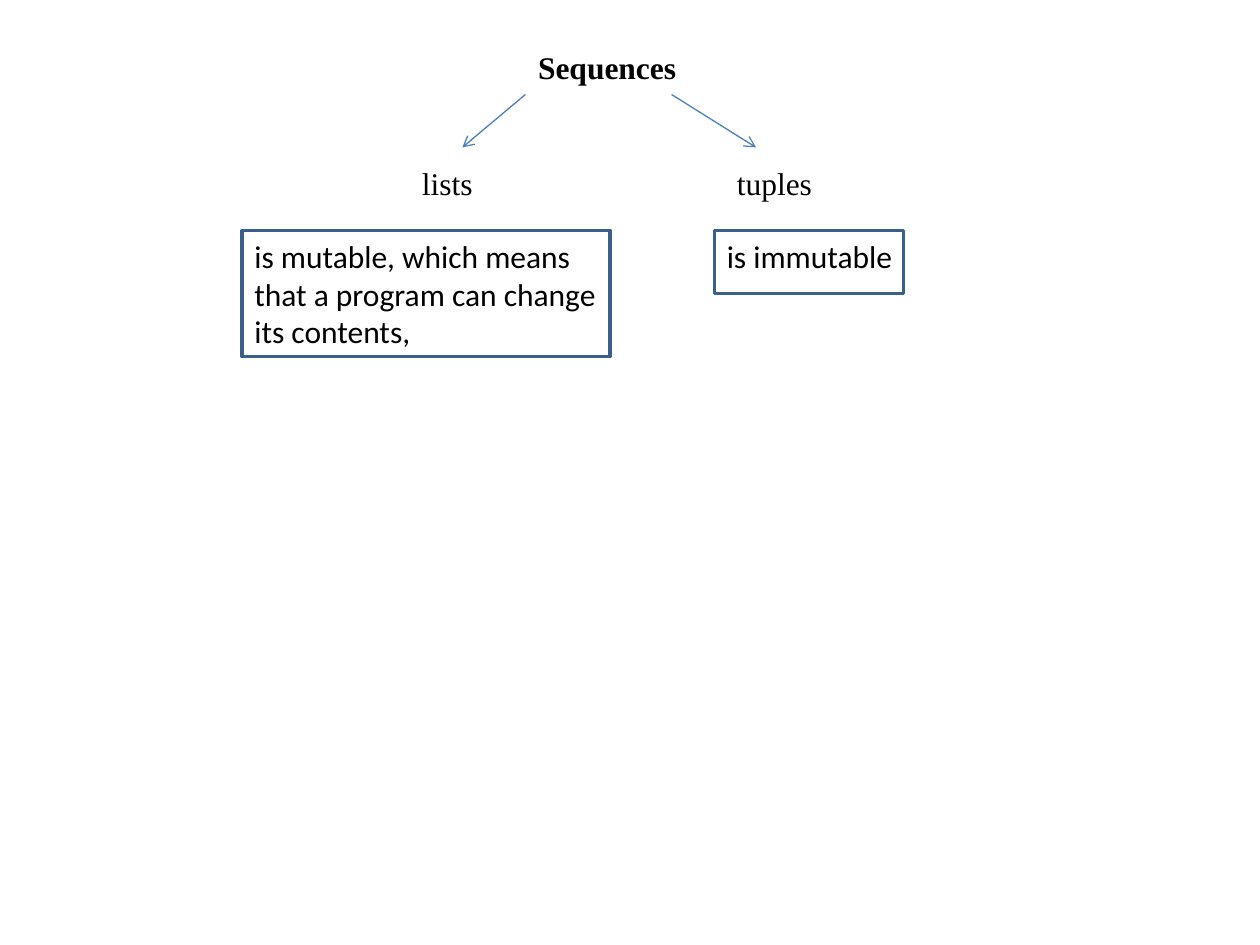
from lxml import etree
from pptx import Presentation
from pptx.dml.color import RGBColor
from pptx.enum.shapes import MSO_CONNECTOR, MSO_SHAPE
from pptx.enum.text import MSO_ANCHOR, MSO_AUTO_SIZE, PP_ALIGN
from pptx.oxml.ns import qn
from pptx.util import Inches, Pt

STRAIGHT = MSO_CONNECTOR.STRAIGHT
RECTANGLE = MSO_SHAPE.RECTANGLE
TOP = MSO_ANCHOR.TOP
LEFT = PP_ALIGN.LEFT
FIT_SHAPE = MSO_AUTO_SIZE.SHAPE_TO_FIT_TEXT

COLORS = {"text": "000000", "arrow": "4B7EBC", "frame": "3A5F8C"}
HEADING_FONT = "Times New Roman"
BODY_FONT = "Calibri"


def color(name):
    return RGBColor.from_string(COLORS[name])


def write_text(sp, text, font, wrap=False, bold=False):
    tf = sp.text_frame
    tf.text = text
    tf.word_wrap = wrap
    tf.auto_size = FIT_SHAPE
    tf.vertical_anchor = TOP
    p = tf.paragraphs[0]
    p.alignment = LEFT
    p.font.name = font
    p.font.size = Pt(18)
    p.font.bold = bold
    p.font.color.rgb = color("text")


def add_title(s, text, left, top, width, height):
    sp = s.shapes.title
    sp.left, sp.top = Inches(left), Inches(top)
    sp.width, sp.height = Inches(width), Inches(height)
    write_text(sp, text, HEADING_FONT, bold=True)


def add_text(s, text, left, top, width, height, font, wrap=False):
    sp = s.shapes.add_textbox(Inches(left), Inches(top), Inches(width), Inches(height))
    write_text(sp, text, font, wrap)


def add_arrow(s, x1, y1, x2, y2):
    cxn = s.shapes.add_connector(STRAIGHT, Inches(x1), Inches(y1), Inches(x2), Inches(y2))
    cxn.line.color.rgb = color("arrow")
    cxn.line.width = Pt(0.75)
    etree.SubElement(cxn.line._get_or_add_ln(), qn("a:tailEnd"), type="arrow")
    etree.SubElement(cxn._element.spPr, qn("a:effectLst"))


def add_frame(s, left, top, width, height):
    sp = s.shapes.add_shape(RECTANGLE, Inches(left), Inches(top), Inches(width), Inches(height))
    sp.shadow.inherit = False
    sp.fill.background()
    sp.line.color.rgb = color("frame")
    sp.line.width = Pt(2)


def main():
    prs = Presentation()
    prs.slide_width, prs.slide_height = Inches(10), Inches(7.5)
    s = prs.slides.add_slide(prs.slide_layouts[5])

    add_title(s, "Sequences", 4.17, 0.33, 1.31, 0.4)
    for x1, x2 in ((4.17, 3.67), (5.33, 6)):
        add_arrow(s, x1, 0.75, x2, 1.17)

    for text, left, width in (("lists", 3.25, 0.61), ("tuples", 5.75, 0.83)):
        add_text(s, text, left, 1.25, width, 0.4, HEADING_FONT)

    # Text, left, text width and height, frame width and height
    descriptions = (
        ("is mutable, which means that a program can change its contents,",
         1.92, 3.08, 1.01, 2.92, 1),
        ("is immutable", 5.67, 1.67, 0.4, 1.5, 0.5),
    )
    for text, left, text_w, text_h, frame_w, frame_h in descriptions:
        add_text(s, text, left, 1.83, text_w, text_h, BODY_FONT, wrap=True)
        add_frame(s, left, 1.83, frame_w, frame_h)

    prs.save("out.pptx")


if __name__ == "__main__":
    main()
